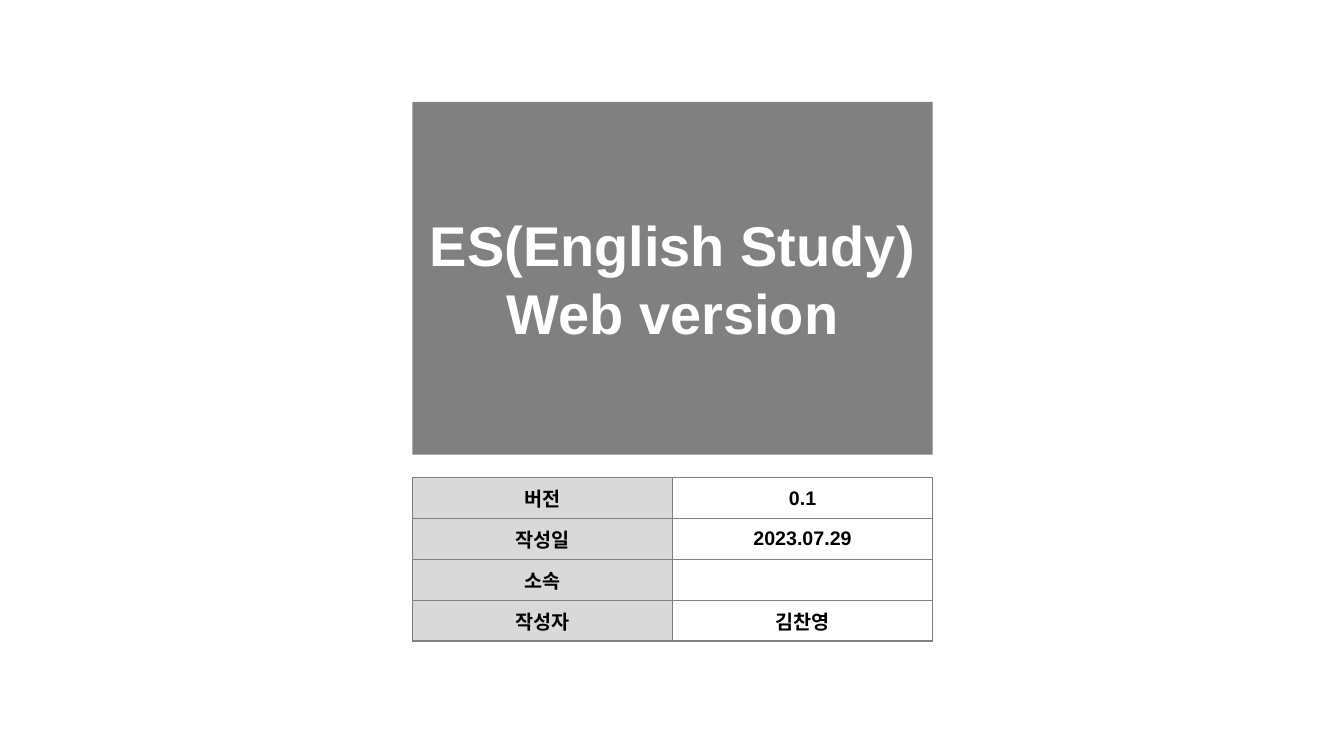
import pptx
import pptx.util
import pptx.dml.color
import pptx.enum.shapes
import pptx.enum.text
import pptx.oxml.ns
import lxml.etree

Inches = pptx.util.Inches
GRAY, LABEL_GRAY, WHITE, BLACK = "808080", "D9D9D9", "FFFFFF", "000000"
DETAILS = [
    ("버전", "0.1"),
    ("작성일", "2023.07.29"),
    ("소속", ""),
    ("작성자", "김찬영"),
]


def color(value):
    return pptx.dml.color.RGBColor.from_string(value)


def write_text(frame, text, size, text_color):
    """Fill a text frame with centred bold lines."""
    frame.text = text
    for para in frame.paragraphs:
        para.alignment = pptx.enum.text.PP_ALIGN.CENTER
        para.font.size = pptx.util.Pt(size)
        for span in para.runs:
            span.font.name = "Arial"
            span.font.size = pptx.util.Pt(size)
            span.font.bold = True
            span.font.color.rgb = color(text_color)


def add_borders(cell, line_color, width):
    """Draw all four borders; call before setting the cell's fill."""
    properties = cell._tc.get_or_add_tcPr()
    qn = pptx.oxml.ns.qn
    for side in ("a:lnL", "a:lnR", "a:lnT", "a:lnB"):
        line = lxml.etree.SubElement(properties, qn(side), w=str(pptx.util.Pt(width)))
        fill = lxml.etree.SubElement(line, qn("a:solidFill"))
        lxml.etree.SubElement(fill, qn("a:srgbClr"), val=line_color)


def add_title(page, left, top, width, height):
    box = page.shapes.add_shape(
        pptx.enum.shapes.MSO_SHAPE.RECTANGLE,
        Inches(left), Inches(top), Inches(width), Inches(height))
    box.shadow.inherit = False
    box.fill.solid()
    box.fill.fore_color.rgb = color(GRAY)
    box.line.fill.background()
    box.text_frame.word_wrap = True
    box.text_frame.vertical_anchor = pptx.enum.text.MSO_ANCHOR.MIDDLE
    write_text(box.text_frame, "ES(English Study)\nWeb version", 40, WHITE)


def add_details(page, left, top, width, height):
    table = page.shapes.add_table(
        len(DETAILS), 2,
        Inches(left), Inches(top), Inches(width), Inches(height)).table
    table.first_row = False
    table.horz_banding = False
    for row, values in enumerate(DETAILS):
        for column, value in enumerate(values):
            cell = table.cell(row, column)
            cell.vertical_anchor = pptx.enum.text.MSO_ANCHOR.MIDDLE
            write_text(cell.text_frame, value, 14, BLACK)
            add_borders(cell, GRAY, 1)
            # Labels are shaded, values stay clear
            if column == 0:
                cell.fill.solid()
                cell.fill.fore_color.rgb = color(LABEL_GRAY)
            else:
                cell.fill.background()


def main():
    deck = pptx.Presentation()
    deck.slide_width = Inches(13.33)
    deck.slide_height = Inches(7.5)
    page = deck.slides.add_slide(deck.slide_layouts[6])

    # Title block above the document details, sharing one column
    left, width = 4.09, 5.16
    add_title(page, left, 1.01, width, 3.5)
    add_details(page, left, 4.74, width, 1.62)
    deck.save("out.pptx")


if __name__ == "__main__":
    main()
